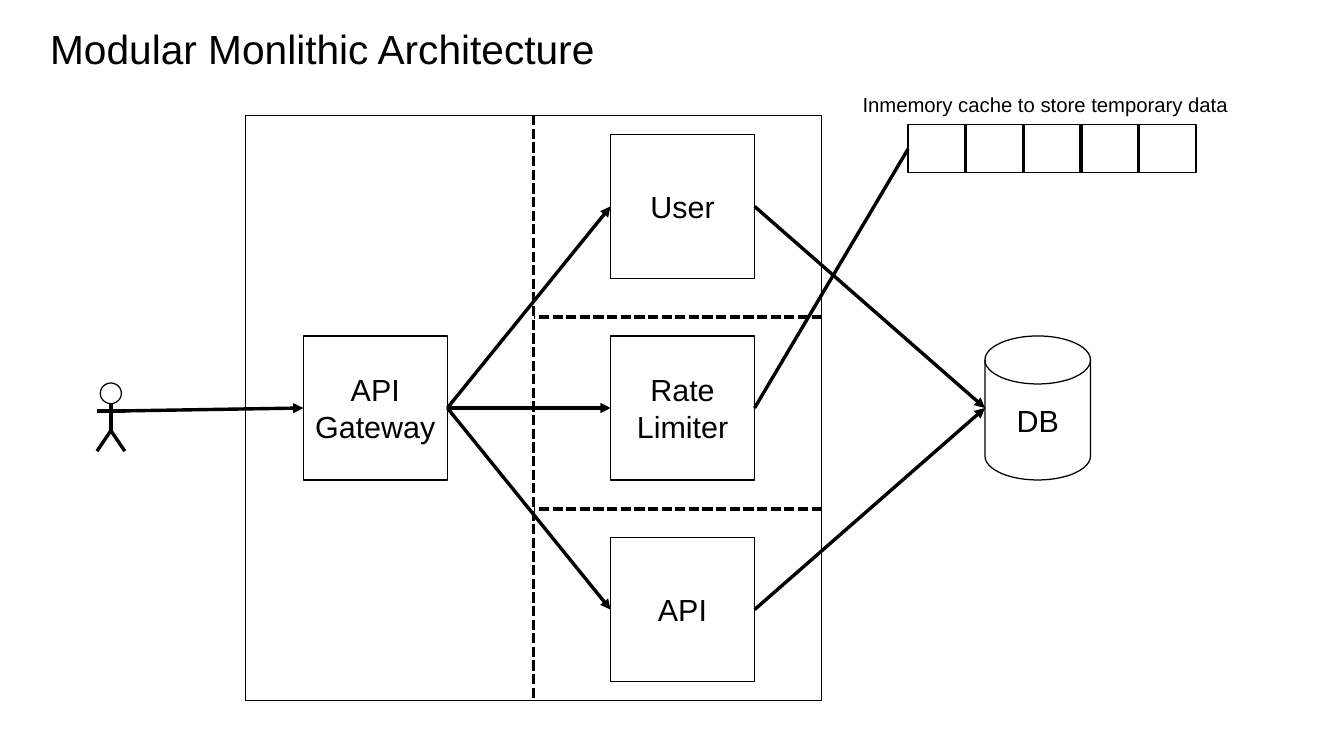
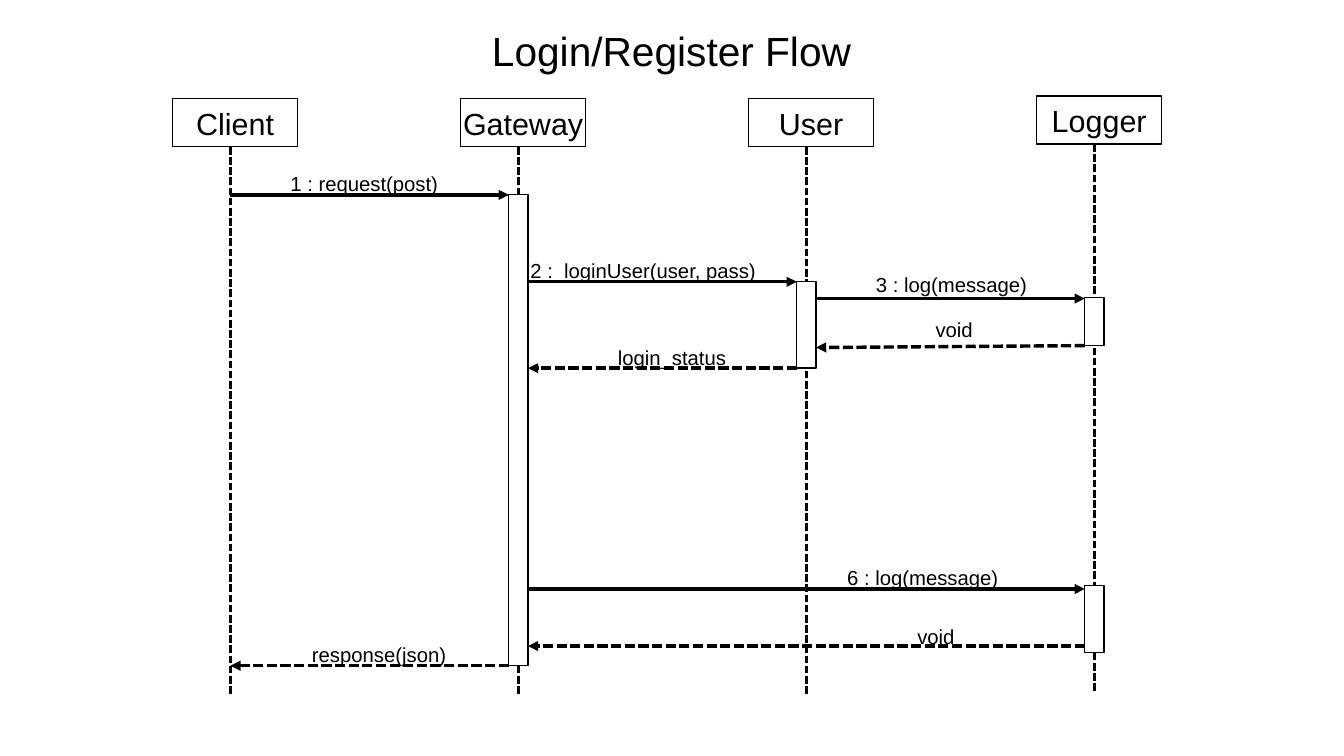
from dataclasses import dataclass
from typing import Any, NamedTuple

from lxml import etree
from pptx import Presentation
from pptx import util as u
from pptx.dml.color import RGBColor
from pptx.enum import dml, shapes, text
from pptx.oxml.ns import qn

COLS, ROWS = 28, 15.75
WIDTH, HEIGHT = u.Cm(COLS), u.Cm(ROWS)
LEFT, MID = text.PP_ALIGN.LEFT, text.PP_ALIGN.CENTER
RECT = shapes.MSO_SHAPE.RECTANGLE


@dataclass(frozen=True)
class Theme:
    ink: RGBColor = RGBColor(0, 0, 0)
    paper: RGBColor = RGBColor(255, 255, 255)
    font: str = "Arial"
    title: int = 24
    node: int = 18
    label: int = 12
    hair: float = 0
    bold: float = 1.5


THEME = Theme()


class Spot(NamedTuple):
    x: float
    y: float


class Area(NamedTuple):
    x: float
    y: float
    w: float
    h: float

    def side(self, site: int) -> Spot:
        return (Spot(self.x + self.w / 2, self.y), Spot(self.x, self.y + self.h / 2),
                Spot(self.x + self.w / 2, self.y + self.h),
                Spot(self.x + self.w, self.y + self.h / 2))[site]


class Lane(NamedTuple):
    name: str
    top: float


class Bar(NamedTuple):
    lane: int
    top: float
    tall: float


class Call(NamedTuple):
    words: str
    start: Spot
    end: Spot
    x: float
    y: float
    wide: float
    align: Any = LEFT
    dash: bool = False


def col(n: float) -> int:
    return round(WIDTH * n / COLS)


def row(n: float) -> int:
    return round(HEIGHT * n / ROWS)


def place(area: Area) -> tuple[int, int, int, int]:
    return col(area.x), row(area.y), col(area.w), row(area.h)


def write(shape: Any, words: str, *, size: int, align: Any = MID,
          anchor: Any = text.MSO_ANCHOR.MIDDLE, wrap: bool = False) -> None:
    frame = shape.text_frame
    frame.text = words
    frame.word_wrap = wrap
    frame.auto_size = text.MSO_AUTO_SIZE.NONE
    frame.vertical_anchor = anchor
    for para in frame.paragraphs:
        para.alignment = align
        para.font.size = u.Pt(size)
        para.font.name = THEME.font
        para.font.color.rgb = THEME.ink


def title(slide: Any, words: str, align: Any, anchor: Any) -> None:
    head = slide.shapes.title
    head.left, head.top, head.width, head.height = place(Area(0.79, 0.41, 26.4, 1.2))
    write(head, words, size=THEME.title, align=align, anchor=anchor, wrap=True)


def label(slide: Any, words: str, area: Area, align: Any = LEFT) -> None:
    write(slide.shapes.add_textbox(*place(area)), words, size=THEME.label,
          align=align, anchor=text.MSO_ANCHOR.TOP, wrap=True)


def box(slide: Any, area: Area, words: str = "", *, kind: Any = RECT,
        solid: bool = False) -> Any:
    shape = slide.shapes.add_shape(kind, *place(area))
    shape.shadow.inherit = False
    if solid:
        shape.fill.solid()
        shape.fill.fore_color.rgb = THEME.paper
    else:
        shape.fill.background()
    shape.line.color.rgb = THEME.ink
    shape.line.width = u.Pt(THEME.hair)
    if words:
        write(shape, words, size=THEME.node)
    return shape


def line(slide: Any, start: Spot, end: Spot, *, width: float = THEME.hair,
         dash: bool = False, arrow: bool = False) -> Any:
    link = slide.shapes.add_connector(
        shapes.MSO_CONNECTOR.STRAIGHT,
        col(start.x), row(start.y), col(end.x), row(end.y))
    link.line.color.rgb = THEME.ink
    link.line.width = u.Pt(width)
    if dash:
        link.line.dash_style = dml.MSO_LINE.SQUARE_DOT
    if arrow:
        etree.SubElement(link.line._get_or_add_ln(), qn("a:tailEnd"), type="triangle")
    etree.SubElement(link._element.spPr, qn("a:effectLst"))
    return link


def actor(slide: Any, x: float, y: float) -> Spot:
    reach, neck, arm, hip, foot = 0.29, y + 0.43, y + 0.58, y + 0.99, y + 1.42
    box(slide, Area(x - 0.22, y, 0.44, 0.43), kind=shapes.MSO_SHAPE.OVAL)
    hand = Spot(x + reach, arm)
    line(slide, Spot(x, neck), Spot(x, hip))
    line(slide, hand, Spot(x - reach, arm))
    for side in (-reach, reach):
        line(slide, Spot(x + side, foot), Spot(x, hip))
    return hand


def design(slide: Any) -> None:
    title(slide, "Modular Monlithic Architecture", LEFT, text.MSO_ANCHOR.MIDDLE)
    shell = Area(5.12, 2.4, 12, 12.2)
    right, split = shell.x + shell.w, shell.x + shell.w / 2
    box(slide, shell)
    line(slide, Spot(split, shell.y), Spot(split, shell.y + shell.h), dash=True)
    for y in (6.6, 10.6):
        line(slide, Spot(right, y), Spot(split, y), dash=True)

    gate = Area(6.32, 7, 3, 3)
    store = Area(20.52, 7, 2.2, 3)
    cache = Area(18.92, 2.6, 6, 1)
    door = box(slide, gate, "API\nGateway")
    box(slide, store, "DB", kind=shapes.MSO_SHAPE.FLOWCHART_MAGNETIC_DISK)
    strip = box(slide, cache)
    cells = 5
    for cell in range(1, cells):
        x = cache.x + cache.w * cell / cells
        line(slide, Spot(x, cache.y), Spot(x, cache.y + cache.h))
    label(slide, "Inmemory cache to store temporary data", Area(17.72, 1.8, 8.2, 0.74))

    for words, y, stored in (("User", 2.8, True), ("Rate\nLimiter", 7, False),
                             ("API", 11.2, True)):
        area = Area(12.72, y, 3, 3)
        part = box(slide, area, words)
        link = line(slide, gate.side(3), area.side(1), arrow=True)
        link.begin_connect(door, 3)
        link.end_connect(part, 1)
        goal = store if stored else cache
        link = line(slide, area.side(3), goal.side(1), arrow=stored)
        link.begin_connect(part, 3)
        if not stored:
            link.end_connect(strip, 1)

    hand = actor(slide, 2.31, 7.98)
    line(slide, hand, gate.side(1), arrow=True).end_connect(door, 1)


def flow(slide: Any) -> None:
    title(slide, "Login/Register Flow", MID, text.MSO_ANCHOR.TOP)
    first, pitch, half = 4.8, 6, 0.2
    lanes = (Lane("Client", 2.06), Lane("Gateway", 2.06),
             Lane("User", 2.06), Lane("Logger", 2))
    bars = (Bar(1, 4.06, 9.8), Bar(2, 5.87, 1.8), Bar(3, 6.2, 1), Bar(3, 12.2, 1.4))

    def stem(lane: int) -> float:
        return first + pitch * lane

    for spot, lane in enumerate(lanes):
        x, low = stem(spot), lane.top + 1
        box(slide, Area(x - 1.2, lane.top, 2.6, 1), lane.name)
        line(slide, Spot(x, low), Spot(x, low + 11.4), width=THEME.bold, dash=True)
    for bar in bars:
        box(slide, Area(stem(bar.lane) - half, bar.top, 2 * half, bar.tall), solid=True)

    def edge(lane: int, side: int, y: float) -> Spot:
        return Spot(stem(lane) + side * half, y)

    calls = (
        Call("1 : request(post)", edge(0, 0, 4.06), edge(1, -1, 4.06), 5.8, 3.45, 3.8),
        Call("2 :  loginUser(user, pass)", edge(1, 1, 5.87), edge(2, -1, 5.87),
             10.8, 5.26, 6.2),
        Call("3 : log(message)", edge(2, 1, 6.22), edge(3, -1, 6.22), 18, 5.54, 3.8),
        Call("void", edge(3, -1, 7.2), edge(2, 1, 7.24), 19.18, 6.48, 1.4, MID, True),
        Call("login_status", edge(2, -1, 7.67), edge(1, 1, 7.67),
             12.5, 7.06, 3, MID, True),
        Call("6 : log(message)", edge(1, 1, 12.27), edge(3, -1, 12.27), 17.4, 11.66, 3.8),
        Call("void", edge(3, -1, 13.46), edge(1, 1, 13.46), 18.8, 12.88, 1.4, MID, True),
        Call("response(json)", edge(1, -1, 13.87), edge(0, 0, 13.87),
             6.2, 13.26, 3.4, MID, True),
    )
    for call in calls:
        line(slide, call.start, call.end, dash=call.dash, arrow=True)
        label(slide, call.words, Area(call.x, call.y, call.wide, 0.74), call.align)


def main() -> None:
    deck = Presentation()
    deck.slide_width, deck.slide_height = WIDTH, HEIGHT
    for draw in (design, flow):
        draw(deck.slides.add_slide(deck.slide_layouts[5]))
    deck.save("out.pptx")


if __name__ == "__main__":
    main()
